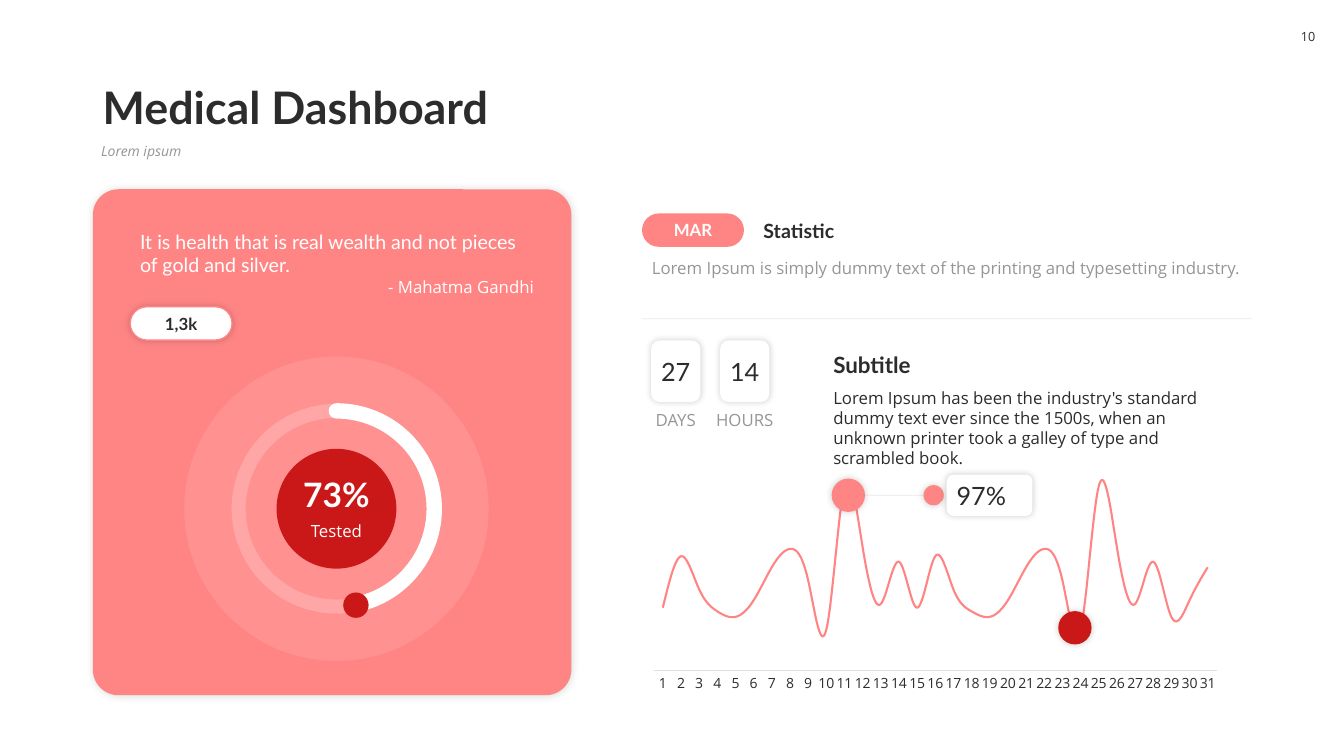
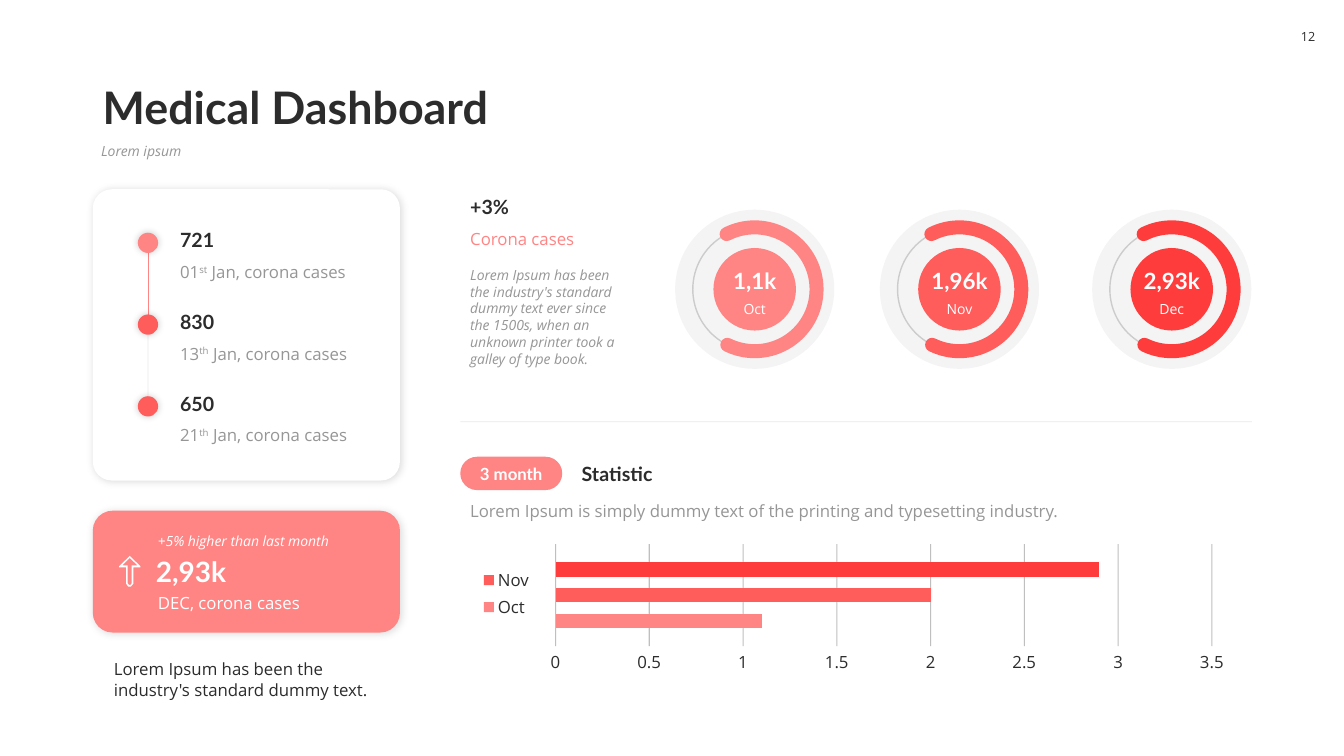
import dataclasses
import typing

import lxml.etree
import pptx
import pptx.chart.data
import pptx.dml.color
import pptx.enum.chart
import pptx.enum.shapes
import pptx.enum.text
import pptx.oxml.ns
import pptx.util

Cm = pptx.util.Cm
Pt = pptx.util.Pt
qn = pptx.oxml.ns.qn
SHAPE = pptx.enum.shapes.MSO_SHAPE
ALIGN = pptx.enum.text.PP_ALIGN
ANCHOR = pptx.enum.text.MSO_ANCHOR
CHART = pptx.enum.chart


@dataclasses.dataclass(frozen=True)
class Theme:
    white: str = "FFFFFF"
    black: str = "000000"
    ink: str = "2C2C2C"
    grey: str = "969696"
    axis: str = "DFDFDF"
    light: str = "FF8585"
    medium: str = "FF5C5C"
    strong: str = "FF3C3C"
    deep: str = "CA1818"
    head: str = "Lato"
    body: str = "Open Sans"
    page: float = 9
    small: float = 10
    text: float = 12
    lead: float = 14
    subhead: float = 16
    count: float = 18
    figure: float = 20
    big: float = 24
    title: float = 32


THEME = Theme()


class Area(typing.NamedTuple):
    left: float
    top: float
    width: float
    height: float


class Shadow(typing.NamedTuple):
    alpha: int
    blur: float
    distance: float


CARD_SHADOW = Shadow(15, 6, 1)
CHIP_SHADOW = Shadow(20, 5, 0)
RIGHT_EDGE = 31.55


@dataclasses.dataclass(frozen=True)
class GaugeStyle:
    halo: float
    ring: float
    core: float
    tint: str
    halo_alpha: int
    ring_width: float
    arc_width: float
    start: float
    end: float
    value_size: float
    value_rise: float
    value_height: float
    caption_size: float
    caption_drop: float


@dataclasses.dataclass(frozen=True)
class Gauge:
    x: float
    y: float
    value: str
    caption: str
    arc: str
    core: str


class Step(typing.NamedTuple):
    value: str
    caption: str
    dot: str
    link: typing.Optional[str]
    link_alpha: int = 100


class Countdown(typing.NamedTuple):
    left: float
    value: str
    unit: str


class Month(typing.NamedTuple):
    name: str
    cases: float
    label: str
    color: str
    x: float


LARGE_GAUGE = GaugeStyle(7.67, 4.93, 3.02, THEME.white, 10, 10, 11, 270, 74.93,
                         THEME.big, 0.99, 1.27, THEME.text, 0.18)
SMALL_GAUGE = GaugeStyle(4.01, 3.12, 2.08, THEME.ink, 5, 1, 10, 243.08, 116.19,
                         THEME.subhead, 0.69, 0.94, THEME.small, 0.15)
MONTHS = (
    Month("Oct", 1.1, "1,1k", THEME.light, 19.02),
    Month("Nov", 2.0, "1,96k", THEME.medium, 24.18),
    Month("Dec", 2.9, "2,93k", THEME.strong, 29.53),
)
STEPS = (
    Step("721", "01^st^ Jan, corona cases", THEME.light, THEME.light),
    Step("830", "13^th^ Jan, corona cases", THEME.medium, THEME.ink, 10),
    Step("650", "21^th^ Jan, corona cases", THEME.medium, None),
)
HALF_MONTH = (34, 62, 44, 32, 29, 38, 56, 66, 49, 22, 100, 67, 36, 59)
DAILY_CASES = HALF_MONTH * 2 + (29, 38, 56)


def rgb(color: str) -> pptx.dml.color.RGBColor:
    return pptx.dml.color.RGBColor.from_string(color)


def fade(element, query: str, alpha: int) -> None:
    if alpha < 100:
        for color in element.xpath(query):
            lxml.etree.SubElement(color, qn("a:alpha"), val=str(alpha * 1000))


def write(frame, text: str, *, size: float = THEME.text, font: str = THEME.body,
          color: str = THEME.ink, bold: bool = False, italic: bool = False,
          align=ALIGN.LEFT, spacing: typing.Optional[float] = None) -> None:
    paragraph = frame.paragraphs[0]
    if paragraph.runs:
        paragraph = frame.add_paragraph()
    paragraph.alignment = align
    if spacing:
        paragraph.line_spacing = spacing
    for index, part in enumerate(text.split("^")):
        run = paragraph.add_run()
        run.text = part
        run.font.size, run.font.name = Pt(size), font
        run.font.bold, run.font.italic = bold, italic
        run.font.color.rgb = rgb(color)
        if index % 2:
            run._r.get_or_add_rPr().set("baseline", "30000")


def set_frame(frame, anchor, inset: float, inset_y: float, wrap: bool = True):
    frame.word_wrap = wrap
    frame.vertical_anchor = anchor
    frame.margin_left = frame.margin_right = Cm(inset)
    frame.margin_top = frame.margin_bottom = Cm(inset_y)
    return frame


def label(slide, area: Area, text: str, *, anchor=ANCHOR.TOP, inset: float = 0.25, **style):
    box = slide.shapes.add_textbox(*map(Cm, area))
    frame = set_frame(box.text_frame, anchor, inset, 0.13)
    write(frame, text, **style)
    return frame


def heading(slide, area: Area, text: str, size: float = THEME.lead, **style) -> None:
    label(slide, area, text, anchor=ANCHOR.BOTTOM, size=size, font=THEME.head, bold=True, **style)


def draw(slide, kind, area: Area, *, fill: typing.Optional[str] = None, fill_alpha: int = 100,
         line: typing.Optional[str] = None, line_width: float = 1, line_alpha: int = 100,
         shadow: typing.Optional[Shadow] = None):
    shape = slide.shapes.add_shape(kind, *map(Cm, area))
    properties = shape._element.spPr
    if fill:
        shape.fill.solid()
        shape.fill.fore_color.rgb = rgb(fill)
        fade(properties, "a:solidFill/a:srgbClr", fill_alpha)
    else:
        shape.fill.background()
    if line:
        shape.line.color.rgb = rgb(line)
        shape.line.width = Pt(line_width)
        fade(properties, "a:ln/a:solidFill/a:srgbClr", line_alpha)
    else:
        shape.line.fill.background()
    shape.shadow.inherit = False
    if shadow:
        outer = lxml.etree.SubElement(
            properties.find(qn("a:effectLst")), qn("a:outerShdw"), blurRad=str(Pt(shadow.blur)),
            dist=str(Pt(shadow.distance)), dir="2700000", algn="tl", rotWithShape="0")
        tone = lxml.etree.SubElement(outer, qn("a:srgbClr"), val=THEME.black)
        lxml.etree.SubElement(tone, qn("a:alpha"), val=str(shadow.alpha * 1000))
    return shape


def panel(slide, area: Area, radius: float, fill: str = THEME.white, *, text: str = "",
          inset: float = 0, wrap: bool = True, line: typing.Optional[str] = None,
          shadow: typing.Optional[Shadow] = None, **style) -> None:
    shape = draw(slide, SHAPE.ROUNDED_RECTANGLE, area, fill=fill, line=line, shadow=shadow)
    shape.adjustments[0] = radius / min(area.width, area.height)
    if text:
        write(set_frame(shape.text_frame, ANCHOR.MIDDLE, inset, 0, wrap), text, **style)


def pill(slide, left: float, top: float, text: str, **style) -> None:
    panel(slide, Area(left, top, 2.57, 0.84), 0.42, text=text, font=THEME.head,
          bold=True, align=ALIGN.CENTER, **style)


def round_area(x: float, y: float, diameter: float) -> Area:
    return Area(x - diameter / 2, y - diameter / 2, diameter, diameter)


def disc(slide, x: float, y: float, diameter: float, fill: typing.Optional[str] = None, **style) -> None:
    draw(slide, SHAPE.OVAL, round_area(x, y, diameter), fill=fill, **style)


def rule(slide, start: tuple, end: tuple, color: str = THEME.ink, alpha: int = 10) -> None:
    line = slide.shapes.add_connector(pptx.enum.shapes.MSO_CONNECTOR.STRAIGHT,
                                      *map(Cm, start + end))
    line.line.color.rgb = rgb(color)
    line.line.width = Pt(0.5)
    properties = line._element.spPr
    fade(properties, "a:ln/a:solidFill/a:srgbClr", alpha)
    lxml.etree.SubElement(properties, qn("a:effectLst"))


def draw_gauge(slide, gauge: Gauge, look: GaugeStyle) -> None:
    x, y = gauge.x, gauge.y
    disc(slide, x, y, look.halo, look.tint, fill_alpha=look.halo_alpha)
    disc(slide, x, y, look.ring, line=look.tint, line_width=look.ring_width, line_alpha=20)
    progress = draw(slide, SHAPE.ARC, round_area(x, y, look.ring),
                    line=gauge.arc, line_width=look.arc_width)
    progress.adjustments[0] = look.start * 0.6
    progress.adjustments[1] = look.end * 0.6
    progress._element.spPr.find(qn("a:ln")).set("cap", "rnd")
    disc(slide, x, y, look.core, gauge.core)
    left = x - look.core / 2
    heading(slide, Area(left, y - look.value_rise, look.core, look.value_height), gauge.value,
            look.value_size, color=THEME.white, align=ALIGN.CENTER)
    label(slide, Area(left, y + look.caption_drop, look.core, 0.76), gauge.caption,
          size=look.caption_size, color=THEME.white, align=ALIGN.CENTER)


def statistic(slide, left: float, top: float, tag: str, rule_top: float) -> None:
    pill(slide, left, top, tag, fill=THEME.light, color=THEME.white)
    heading(slide, Area(left + 2.81, top, 12.55, 0.86), "Statistic")
    label(slide, Area(left, top + 0.99, 15.37, 0.76),
          "Lorem Ipsum is simply dummy text of the printing and typesetting industry.",
          color=THEME.grey)
    rule(slide, (left, rule_top), (RIGHT_EDGE, rule_top))


def start_slide(deck, number: str):
    slide = deck.slides.add_slide(deck.slide_layouts[6])
    heading(slide, Area(2.34, 1.47, 29.21, 2.03), "Medical Dashboard", THEME.title, spacing=0.9)
    label(slide, Area(2.3, 3.51, 29.26, 0.91), "Lorem ipsum", size=THEME.small,
          color=THEME.grey, italic=True, spacing=0.9)
    panel(slide, Area(32.51, 0.47, 0.91, 0.89), 0.24, text=number, wrap=False,
          size=THEME.page, align=ALIGN.CENTER)
    return slide


def set_font(font, size: float) -> None:
    font.size, font.name = Pt(size), THEME.body
    font.color.rgb = rgb(THEME.ink)


def place(layout, **values) -> None:
    manual = lxml.etree.SubElement(layout, qn("c:manualLayout"))
    for key, value in values.items():
        lxml.etree.SubElement(manual, qn("c:" + key), val=str(value))


def add_chart(slide, kind, area: Area, categories, series):
    data = pptx.chart.data.CategoryChartData()
    data.categories = categories
    for name, values in series:
        data.add_series(name, values)
    chart = slide.shapes.add_chart(kind, *map(Cm, area), data).chart
    chart.has_title = chart.has_legend = False
    set_font(chart.font, THEME.small)
    chart.plots[0].vary_by_categories = False
    for axis in (chart.category_axis, chart.value_axis):
        axis.has_major_gridlines = False
        axis.major_tick_mark = axis.minor_tick_mark = CHART.XL_TICK_MARK.NONE
    chart.value_axis.minimum_scale = 0
    return chart


def daily_chart(slide) -> None:
    chart = add_chart(slide, CHART.XL_CHART_TYPE.LINE_STACKED, Area(16.18, 11.3, 14.78, 6.29),
                      [str(day) for day in range(1, 32)], [("Series 1", DAILY_CASES)])
    chart.value_axis.visible = False
    chart.value_axis.maximum_scale = 118
    days = chart.category_axis
    set_font(days.tick_labels.font, THEME.small)
    days.format.line.color.rgb = rgb(THEME.axis)
    days.format.line.width = Pt(0.75)
    cases = chart.plots[0].series[0]
    cases.smooth = True
    cases.marker.style = CHART.XL_MARKER_STYLE.NONE
    cases.format.line.color.rgb = rgb(THEME.light)
    cases.format.line.width = Pt(1.5)


def monthly_chart(slide) -> None:
    chart = add_chart(slide, CHART.XL_CHART_TYPE.BAR_CLUSTERED, Area(11.86, 13.61, 19.46, 3.43),
                      ["1"], [(month.name, [month.cases]) for month in MONTHS])
    chart.category_axis.visible = False
    scale = chart.value_axis
    scale.maximum_scale, scale.major_unit = 3.5, 0.5
    set_font(scale.tick_labels.font, THEME.text)
    scale.format.line.fill.background()
    scale.has_major_gridlines = True
    scale.major_gridlines.format.line.color.rgb = rgb(THEME.ink)
    scale.major_gridlines.format.line.width = Pt(0.75)
    fade(scale._element, "c:majorGridlines//a:srgbClr", 30)
    chart.has_legend = True
    legend = chart.legend
    legend.position = CHART.XL_LEGEND_POSITION.LEFT
    legend.include_in_layout = False
    set_font(legend.font, THEME.text)
    hidden = lxml.etree.Element(qn("c:legendEntry"))
    lxml.etree.SubElement(hidden, qn("c:idx"), val="0")
    lxml.etree.SubElement(hidden, qn("c:delete"), val="1")
    legend._element.find(qn("c:legendPos")).addnext(hidden)
    legend_layout = legend._element.find(qn("c:layout"))
    if legend_layout is None:
        legend_layout = lxml.etree.Element(qn("c:layout"))
        hidden.addnext(legend_layout)
    place(legend_layout, xMode="edge", yMode="edge", x=0.01, y=0.18)
    plot_area = chart._chartSpace.chart.plotArea
    plot_layout = plot_area.find(qn("c:layout"))
    if plot_layout is None:
        plot_layout = lxml.etree.Element(qn("c:layout"))
        plot_area.insert(0, plot_layout)
    place(plot_layout, layoutTarget="inner", xMode="edge", yMode="edge",
          x=0.11, y=0.03, w=0.85, h=0.75)
    bars = chart.plots[0]
    bars.gap_width, bars.overlap = 250, -80
    for month, bar in zip(MONTHS, bars.series):
        bar.format.fill.solid()
        bar.format.fill.fore_color.rgb = rgb(month.color)


def rise_arrow(slide, left: float, top: float) -> None:
    outer = [(27, 0), (54, 26), (54, 29), (36, 29), (36, 70), (30, 77),
             (23, 77), (18, 70), (18, 29), (0, 29), (0, 26)]
    inner = [(32, 24), (32, 69), (29, 73), (25, 73), (22, 69), (22, 24), (8, 24), (27, 5), (47, 24)]
    outline = slide.shapes.build_freeform(*outer[0], scale=Cm(0.01))
    outline.add_line_segments(outer[1:], close=True)
    outline.move_to(*inner[0])
    outline.add_line_segments(inner[1:], close=True)
    arrow = outline.convert_to_shape(Cm(left), Cm(top))
    arrow.fill.solid()
    arrow.fill.fore_color.rgb = rgb(THEME.white)
    arrow.line.fill.background()
    arrow.shadow.inherit = False


def tested_slide(deck) -> None:
    slide = start_slide(deck, "10")
    panel(slide, Area(2.34, 4.77, 12.06, 12.75), 0.65, THEME.light, shadow=CARD_SHADOW)
    quote = label(slide, Area(3.28, 5.66, 10.43, 1.96),
                  "It is health that is real wealth and not pieces of gold and silver.",
                  size=THEME.lead, font=THEME.head, color=THEME.white)
    write(quote, "- Mahatma Gandhi", color=THEME.white, align=ALIGN.RIGHT)
    pill(slide, 3.28, 7.73, "1,3k", line=THEME.light, shadow=CHIP_SHADOW)
    draw_gauge(slide, Gauge(8.48, 12.82, "73%", "Tested", THEME.white, THEME.deep), LARGE_GAUGE)
    disc(slide, 8.97, 15.25, 0.64, THEME.deep)
    statistic(slide, 16.18, 5.38, "MAR", 8.03)
    daily_chart(slide)
    for part in (Countdown(16.41, "27", "DAYS"), Countdown(18.15, "14", "HOURS")):
        panel(slide, Area(part.left, 8.58, 1.24, 1.55), 0.21, text=part.value, size=THEME.count,
              font=THEME.head, align=ALIGN.CENTER, shadow=CHIP_SHADOW)
        label(slide, Area(part.left - 0.23, 10.19, 1.7, 0.76), part.unit, inset=0.1,
              color=THEME.grey, align=ALIGN.CENTER)
    heading(slide, Area(20.75, 8.71, 10.82, 0.94), "Subtitle", THEME.subhead)
    label(slide, Area(20.75, 9.63, 10.82, 1.8),
          "Lorem Ipsum has been the industry's standard dummy text ever since the 1500s, "
          "when an unknown printer took a galley of type and scrambled book.")
    peak = 12.48
    disc(slide, 21.38, peak, 0.84, THEME.light, shadow=CHIP_SHADOW)
    disc(slide, 27.09, 15.82, 0.84, THEME.deep, shadow=CHIP_SHADOW)
    rule(slide, (21.79, peak), (23.34, peak))
    disc(slide, 23.53, peak, 0.51, THEME.light, shadow=CHIP_SHADOW)
    panel(slide, Area(23.86, 11.96, 2.16, 1.04), 0.17, text="97%", inset=0.2,
          size=THEME.count, font=THEME.head, shadow=CHIP_SHADOW)


def cases_slide(deck) -> None:
    slide = start_slide(deck, "12")
    panel(slide, Area(2.34, 12.87, 7.74, 3.07), 0.5, THEME.light, shadow=CARD_SHADOW)
    panel(slide, Area(2.34, 4.77, 7.74, 7.34), 0.48, shadow=CARD_SHADOW)
    for index, step in enumerate(STEPS):
        top = 5.61 + index * 2.06
        center = top + 0.51
        heading(slide, Area(4.29, top, 5.23, 0.86), step.value)
        label(slide, Area(4.29, top + 0.85, 5.23, 0.76), step.caption, color=THEME.grey)
        if step.link:
            rule(slide, (3.73, center + 0.26), (3.73, center + 1.82), step.link, step.link_alpha)
        disc(slide, 3.73, center, 0.51, step.dot, shadow=CHIP_SHADOW)
    rise_arrow(slide, 3, 14.01)
    heading(slide, Area(3.73, 13.84, 5.79, 1.12), "2,93k", THEME.figure,
            inset=0.2, color=THEME.white)
    label(slide, Area(3.73, 14.81, 5.79, 0.76), "DEC, corona cases", color=THEME.white)
    label(slide, Area(3.73, 13.29, 5.79, 0.69), "+5% higher than last month",
          size=THEME.small, color=THEME.white, italic=True)
    label(slide, Area(2.62, 16.48, 7.47, 1.27),
          "Lorem Ipsum has been the industry's standard dummy text.")
    column = 11.6
    heading(slide, Area(column, 4.78, 4.19, 0.86), "+3%")
    label(slide, Area(column, 5.64, 4.19, 0.76), "Corona cases", color=THEME.light)
    label(slide, Area(column, 6.58, 4.19, 2.82),
          "Lorem Ipsum has been the industry's standard dummy text ever since the 1500s, "
          "when an unknown printer took a galley of type book.",
          size=THEME.small, color=THEME.grey, italic=True)
    for month in MONTHS:
        draw_gauge(slide, Gauge(month.x, 7.29, month.label, month.name, month.color, month.color),
                   SMALL_GAUGE)
    statistic(slide, column, 11.51, "3 month", 10.63)
    monthly_chart(slide)


def main() -> None:
    deck = pptx.Presentation()
    deck.slide_width, deck.slide_height = Cm(33.87), Cm(19.05)
    tested_slide(deck)
    cases_slide(deck)
    deck.save("out.pptx")


if __name__ == "__main__":
    main()
